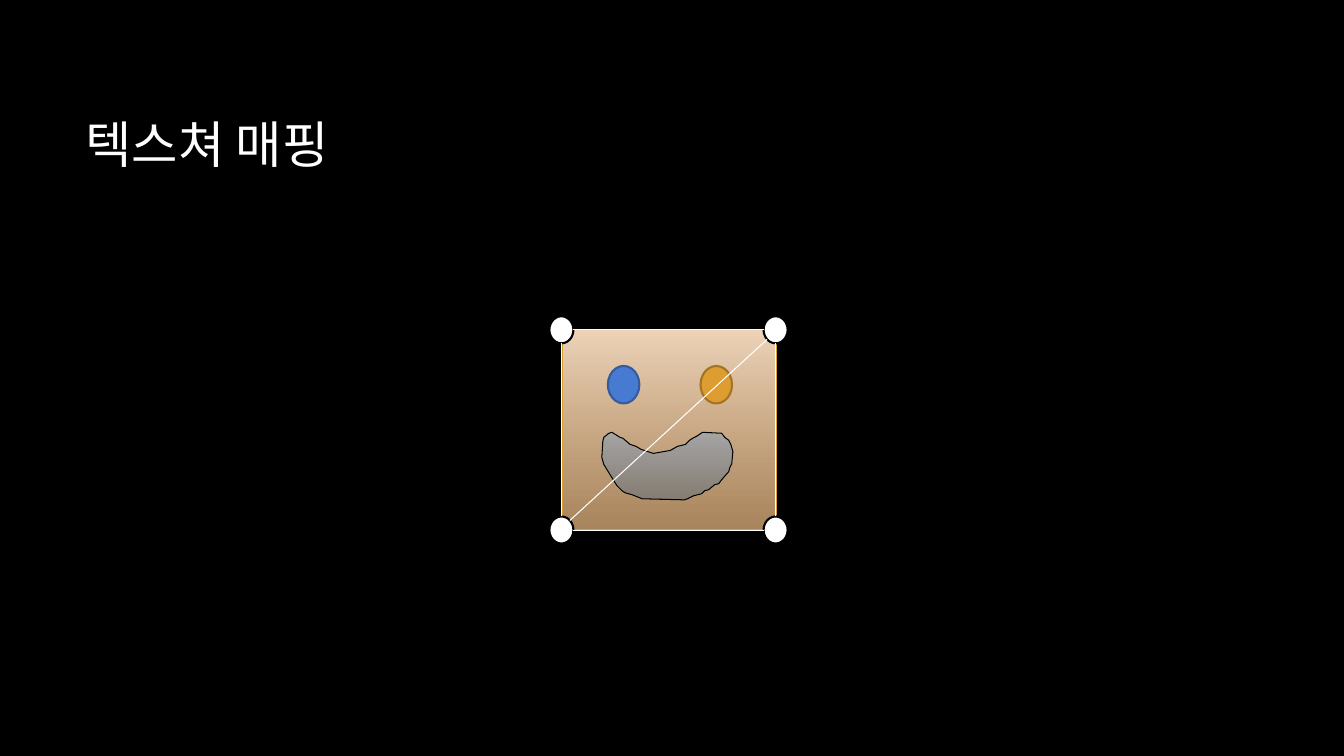
from math import sqrt

from lxml import etree
from pptx import Presentation
from pptx import util as u
from pptx.dml.color import RGBColor
from pptx.enum import shapes, text
from pptx.oxml.ns import qn

SMILE = [(10, 45), (2, 32), (0, 25), (1, 9), (2, 5), (7, 1), (10, 0), (18, 5),
         (21, 6), (28, 12), (34, 14), (39, 17), (51, 21), (68, 18), (75, 14),
         (83, 12), (87, 8), (90, 6), (94, 4), (100, 0), (119, 1), (122, 5),
         (126, 8), (128, 12), (130, 19), (129, 31), (127, 35), (126, 39),
         (119, 47), (116, 51), (112, 52), (106, 57), (102, 58), (99, 61),
         (91, 63), (85, 66), (82, 67), (40, 66), (30, 62), (23, 60), (20, 58),
         (15, 53)]


def color(value):
    """Turn a hex string into a colour."""
    return RGBColor.from_string(value)


def style(shape, fill, line, weight):
    """Give a shape a plain fill and an outline without shadow."""
    shape.shadow.inherit = False
    if fill:
        shape.fill.solid()
        shape.fill.fore_color.rgb = color(fill)
    shape.line.color.rgb = color(line)
    shape.line.width = u.Pt(weight)


def fade(shape, top, bottom):
    """Fill a shape downwards, ending in a 74% opaque colour."""
    shape.fill.gradient()
    shape.fill.gradient_angle = 270
    stops = shape.fill.gradient_stops
    for stop, position, value in zip(stops, (0, 1), (top, bottom)):
        stop.position = position
        stop.color.rgb = color(value)
    last = list(shape.fill._fill._gradFill.iter(qn("a:srgbClr")))[-1]
    etree.SubElement(last, qn("a:alpha")).set("val", "74000")


def add_preset(page, kind, left, top, width, height):
    """Add a preset shape measured in points."""
    return page.shapes.add_shape(kind, u.Pt(left), u.Pt(top), u.Pt(width), u.Pt(height))


def add_title(page, left, top, width, height):
    """Add the slide title."""
    box = page.shapes.add_textbox(u.Pt(left), u.Pt(top), u.Pt(width), u.Pt(height))
    box.text_frame.word_wrap = True
    box.text_frame.vertical_anchor = text.MSO_ANCHOR.MIDDLE
    para = box.text_frame.paragraphs[0]
    para.line_spacing = 0.9
    span = para.add_run()
    span.text = "텍스쳐 매핑"
    span.font.name = "Calibri"
    span.font.size = u.Pt(36)
    span.font.color.rgb = color("FFFFFF")


def add_face(page, left, top, width, height):
    """Add the face texture with its eyes and smile."""
    skin = add_preset(page, shapes.MSO_SHAPE.RECTANGLE, left, top, width, height)
    style(skin, None, "DD9D31", 0.75)
    fade(skin, "EFD5BA", "E4B47E")
    for offset, fill, line in ((32.4, "477BD1", "355B9B"), (98.6, "DD9D31", "A37424")):
        eye = add_preset(page, shapes.MSO_SHAPE.OVAL, left + offset, top + 26, 22.5, 26.8)
        style(eye, fill, line, 1.5)
    builder = page.shapes.build_freeform(*SMILE[0], scale=float(u.Pt(0.72)))
    builder.add_line_segments(SMILE[1:], close=True)
    smile = builder.convert_to_shape(u.Pt(left + 28.1), u.Pt(top + 73.4))
    style(smile, None, "000000", 0.75)
    fade(smile, "A6A6A6", "797979")


def add_edge(page, start, end):
    """Add a thin white mesh edge."""
    edge = page.shapes.add_connector(
        shapes.MSO_CONNECTOR.STRAIGHT, *(u.Pt(value) for value in (*start, *end)))
    edge.line.color.rgb = color("FFFFFF")
    edge.line.width = u.Pt(0.75)
    etree.SubElement(edge._element.spPr, qn("a:effectLst"))


def add_mesh(page, left, top, width, height):
    """Add four vertices joined by two triangles."""
    radius_x, radius_y = 8.6, 9.7
    right, bottom = left + width, top + height
    for y in (top, bottom):
        for x in (left, right):
            vertex = add_preset(page, shapes.MSO_SHAPE.OVAL, x - radius_x, y - radius_y,
                                2 * radius_x, 2 * radius_y)
            style(vertex, "FFFFFF", "000000", 1.5)
    for x in (left, right):
        add_edge(page, (x, top + radius_y), (x, bottom - radius_y))
    for y in (top, bottom):
        add_edge(page, (left + radius_x, y), (right - radius_x, y))
    inset_x, inset_y = radius_x / sqrt(2), radius_y / sqrt(2)
    add_edge(page, (left + inset_x, bottom - inset_y), (right - inset_x, top + inset_y))


def main():
    """Build and save the slide."""
    deck = Presentation()
    deck.slide_width, deck.slide_height = u.Pt(960), u.Pt(540)
    page = deck.slides.add_slide(deck.slide_layouts[6])
    page.background.fill.solid()
    page.background.fill.fore_color.rgb = color("000000")
    add_face(page, 401.8, 235.4, 152.6, 142.6)
    add_title(page, 54, 48, 798, 114.5)
    add_mesh(page, 401, 235.6, 153, 143)
    deck.save("out.pptx")


if __name__ == "__main__":
    main()
